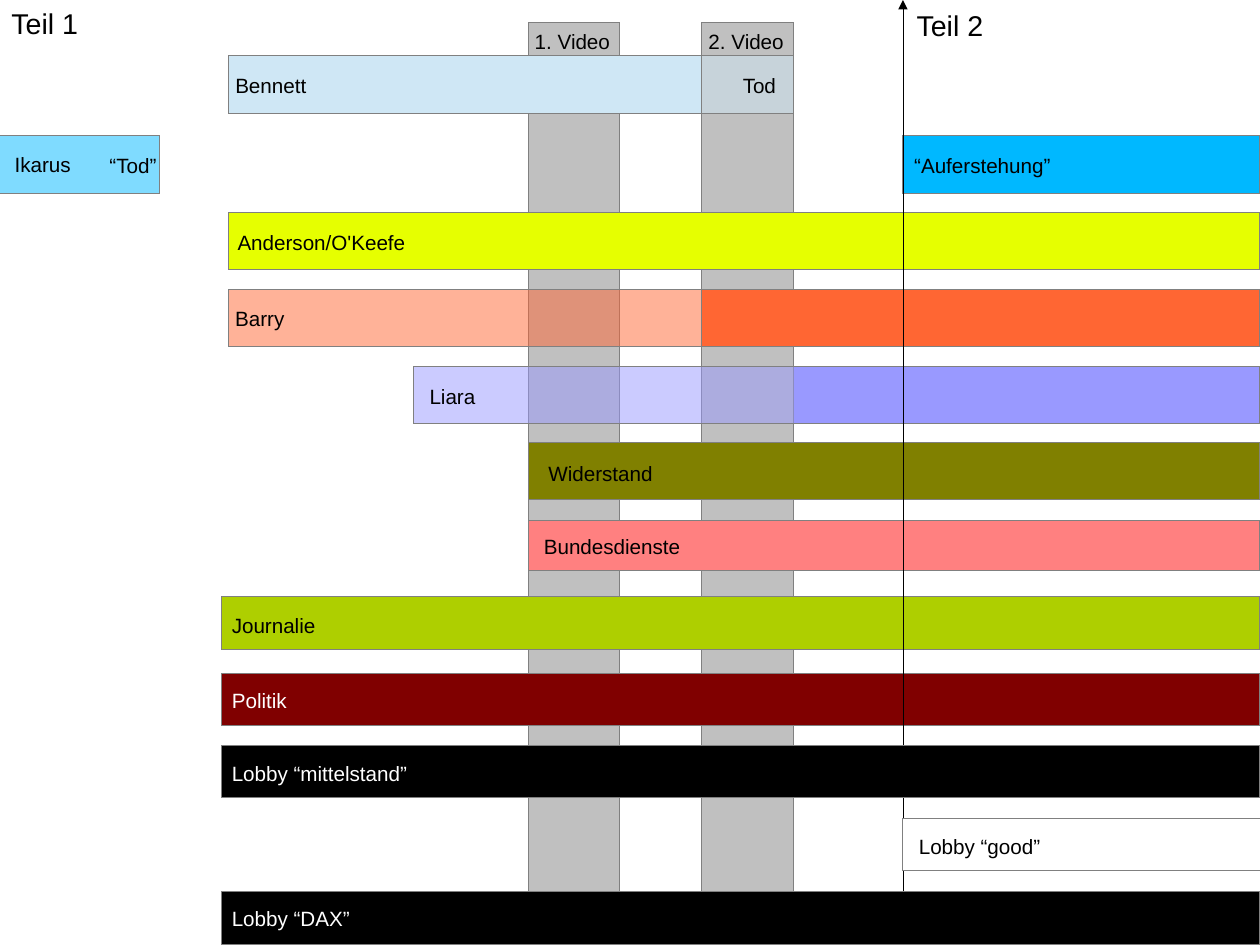
from lxml.etree import SubElement
from pptx import Presentation
from pptx.dml.color import RGBColor
from pptx.enum.shapes import MSO_CONNECTOR as CONN, MSO_SHAPE as SHAPE
from pptx.enum.text import MSO_ANCHOR as ANCHOR, MSO_AUTO_SIZE as FIT, PP_ALIGN as ALIGN
from pptx.oxml.ns import qn
from pptx.util import Inches, Pt

CM_PER_INCH = 2.54
W, H = 28 / CM_PER_INCH, 21 / CM_PER_INCH
VIDEO_1, VIDEO_2 = 4.62, 6.14
VIDEO_W = 0.8
VIDEO_2_END = VIDEO_2 + VIDEO_W
PART_2 = 7.9
START, SOCIETY = 2, 1.94
BAR_H, LOW_H = 0.5, 0.46
HAIRLINE = Pt(0.01)
LABEL_SLACK = 0.03

BLACK = RGBColor(0x00, 0x00, 0x00)
WHITE = RGBColor(0xFF, 0xFF, 0xFF)
GREY = RGBColor(0x80, 0x80, 0x80)
SILVER = RGBColor(0xC0, 0xC0, 0xC0)
PALE_BLUE = RGBColor(0xCF, 0xE7, 0xF5)
SKY = RGBColor(0x00, 0xB8, 0xFF)
YELLOW = RGBColor(0xE6, 0xFF, 0x00)
ORANGE = RGBColor(0xFF, 0x66, 0x33)
LILAC = RGBColor(0x99, 0x99, 0xFF)
OLIVE = RGBColor(0x80, 0x80, 0x00)
PINK = RGBColor(0xFF, 0x80, 0x80)
LIME = RGBColor(0xAE, 0xCF, 0x00)
MAROON = RGBColor(0x80, 0x00, 0x00)

STORY_LANES = [
    (0.49, BAR_H,
     [(2.8, VIDEO_2_END, PALE_BLUE, 50), (START, VIDEO_2, PALE_BLUE, 100)],
     [("Bennett", 1.96, 0.1, 0.82, BLACK), ("Tod", 6.4, 0.1, 0.49, BLACK)]),
    (1.19, BAR_H,
     [(0, 1.4, SKY, 50), (PART_2, W, SKY, 100)],
     [("Ikarus", 0.03, 0.09, 0.69, BLACK), ("“Tod”", 0.86, 0.1, 0.61, BLACK),
      ("“Auferstehung”", 7.9, 0.1, 1.39, BLACK)]),
    (1.86, BAR_H, [(START, W, YELLOW, 100)],
     [("Anderson/O'Keefe", 1.98, 0.1, 1.66, BLACK)]),
    (2.53, BAR_H,
     [(START, W, ORANGE, 50), (VIDEO_2, W, ORANGE, 100)],
     [("Barry", 1.96, 0.1, 0.63, BLACK)]),
    (3.21, BAR_H,
     [(VIDEO_2_END, W, LILAC, 100), (3.62, W, LILAC, 50)],
     [("Liara", 3.66, 0.1, 0.6, BLACK)]),
    (3.87, BAR_H, [(VIDEO_1, W, OLIVE, 100)],
     [("Widerstand", 4.7, 0.11, 1.11, BLACK)]),
    (4.55, 0.44, [(VIDEO_1, W, PINK, 100)],
     [("Bundesdienste", 4.66, 0.07, 1.39, BLACK)]),
    (5.22, LOW_H, [(SOCIETY, W, LIME, 100)],
     [("Journalie", 1.93, 0.09, 0.93, BLACK)]),
    (5.89, LOW_H, [(SOCIETY, W, MAROON, 100)],
     [("Politik", 1.93, 0.08, 0.68, WHITE)]),
]
LOBBY_LANES = [
    (6.52, LOW_H, [(SOCIETY, W, BLACK, 100)],
     [("Lobby “mittelstand”", 1.93, 0.09, 1.73, WHITE)]),
    (7.16, LOW_H, [(PART_2, W + 0.01, WHITE, 100)],
     [("Lobby “good”", 7.94, 0.09, 1.26, BLACK)]),
    (7.8, LOW_H, [(SOCIETY, W, BLACK, 100)],
     [("Lobby “DAX”", 1.93, 0.08, 1.23, WHITE)]),
]


def write(sp, text, size=13, color=BLACK):
    tf = sp.text_frame
    tf.word_wrap = False
    tf.auto_size = FIT.SHAPE_TO_FIT_TEXT
    tf.vertical_anchor = ANCHOR.TOP
    tf.margin_left = tf.margin_right = Inches(0.1)
    tf.margin_top = tf.margin_bottom = Inches(0.05)
    p = tf.paragraphs[0]
    p.alignment = ALIGN.LEFT
    r = p.add_run()
    r.text = text
    r.font.name = "Arial"
    r.font.size = Pt(size)
    r.font.color.rgb = color


def add_label(s, x, y, w, text, h=0.3, **fmt):
    sp = s.shapes.add_textbox(Inches(x), Inches(y), Inches(w + LABEL_SLACK), Inches(h))
    write(sp, text, **fmt)


def add_bar(s, x, y, w, h, color, opacity=100):
    sp = s.shapes.add_shape(SHAPE.RECTANGLE, Inches(x), Inches(y), Inches(w), Inches(h))
    sp.shadow.inherit = False
    sp.fill.solid()
    sp.fill.fore_color.rgb = color
    sp.line.color.rgb = GREY
    sp.line.width = HAIRLINE
    if opacity < 100:
        clr = sp.fill._xPr.find(qn("a:solidFill"))[0]
        SubElement(clr, qn("a:alpha"), val=str(opacity * 1000))


def draw_headings(s, x, y):
    w, h = 0.78, 0.38
    title = s.shapes.title
    title.left, title.top = Inches(x), Inches(y)
    title.width, title.height = Inches(w + LABEL_SLACK), Inches(h)
    write(title, "Teil 1", size=18)
    add_label(s, x + PART_2 + 0.02, y + 0.02, w, "Teil 2", h=h, size=18)


def draw_video(s, x, y, w, h, text):
    add_bar(s, x, y, w, h, SILVER)
    add_label(s, x - 0.04, y, w + 0.05, text)


def draw_lane(s, x, y, h, bars, labels):
    for left, right, color, opacity in bars:
        add_bar(s, x + left, y, right - left, h, color, opacity)
    for text, left, drop, w, color in labels:
        add_label(s, x + left, y + drop, w, text, color=color)


def draw_divider(s, x, y, h):
    c = s.shapes.add_connector(CONN.STRAIGHT, Inches(x), Inches(y), Inches(x), Inches(y + h))
    c.line.color.rgb = BLACK
    c.line.width = HAIRLINE
    ln = c.line._get_or_add_ln()
    for end in ("a:headEnd", "a:tailEnd"):
        SubElement(ln, qn(end), type="triangle")
    SubElement(c._element.spPr, qn("a:effectLst"))


def main():
    prs = Presentation()
    prs.slide_width = Inches(W)
    prs.slide_height = Inches(H)
    s = prs.slides.add_slide(prs.slide_layouts[5])
    draw_headings(s, 0, 0)
    for x, text in ((VIDEO_1, "1. Video"), (VIDEO_2, "2. Video")):
        draw_video(s, x, 0.2, VIDEO_W, H - 0.2, text)
    for top, h, bars, labels in STORY_LANES:
        draw_lane(s, 0, top, h, bars, labels)
    draw_divider(s, PART_2, 0, H)
    for top, h, bars, labels in LOBBY_LANES:
        draw_lane(s, 0, top, h, bars, labels)
    prs.save("out.pptx")


if __name__ == "__main__":
    main()
